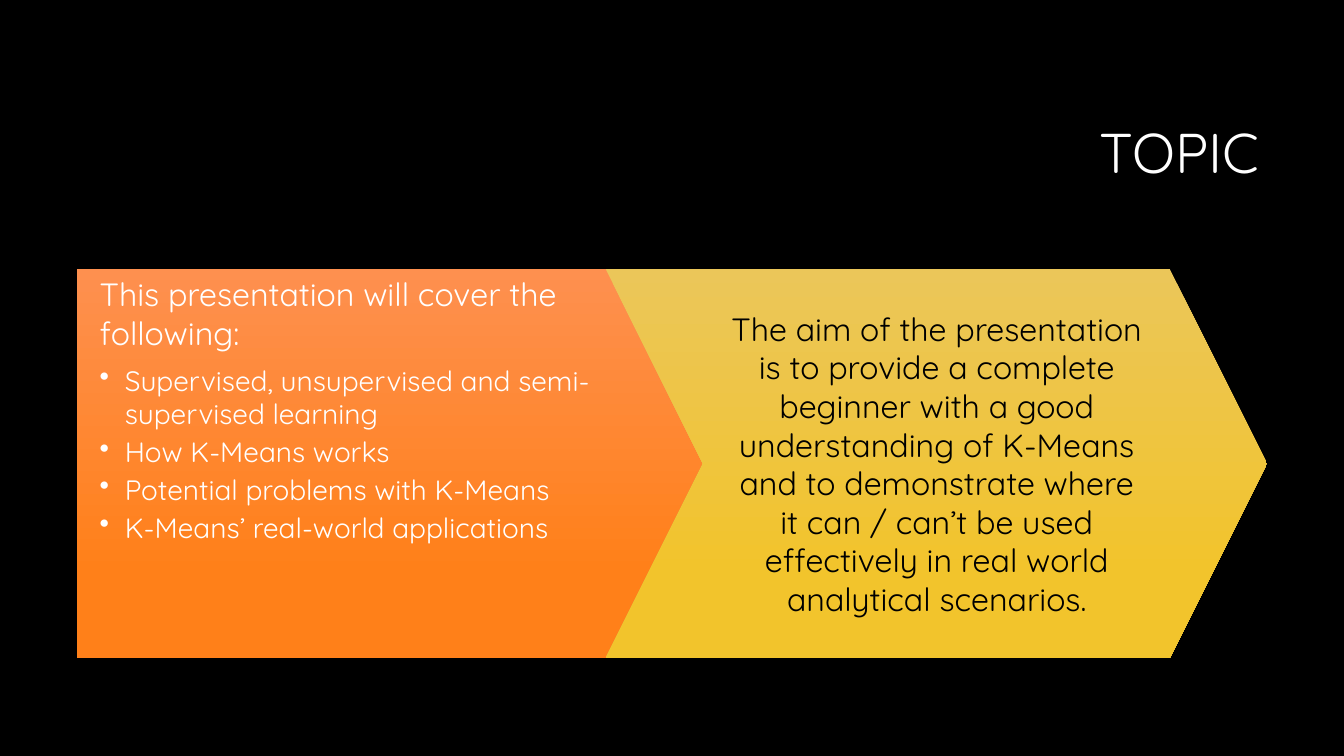
"""Build the topic slide: a title over two linked arrow panels."""
import pptx
import pptx.util
import pptx.dml.color
import pptx.enum.shapes
import pptx.enum.text
import lxml.etree

Pt = pptx.util.Pt
Kind = pptx.enum.shapes.MSO_SHAPE
Align = pptx.enum.text.PP_ALIGN
Anchor = pptx.enum.text.MSO_ANCHOR

THEME = {
    "font": "Quicksand",
    "back": "000000",
    "light": "FFFFFF",
    "dark": "000000",
    "orange": ("FE904F", "FF8019"),
    "yellow": ("EBC659", "F2C42C"),
    "title": 40,
    "lead": 23,
    "item": 20,
}
LEFT, TOP, WIDE, HIGH, STEP = 54.7, 192.2, 472.3, 277.9, 378

ITEMS = [
    "Supervised, unsupervised and semi-supervised learning",
    "How K-Means works",
    "Potential problems with K-Means",
    "K-Means’ real-world applications",
]
AIM = (
    "The aim of the presentation is to provide a complete beginner with a good "
    "understanding of K-Means and to demonstrate where it can / can’t be used "
    "effectively in real world analytical scenarios."
)


def color(name):
    """Return the RGB colour for a hex string."""
    return pptx.dml.color.RGBColor.from_string(name)


def assign(target, values):
    """Set each named attribute on the target."""
    for name, value in values.items():
        setattr(target, name, value)


def panel(slide, kind, left, shades):
    """Draw an arrow panel that shades from top to bottom."""
    shape = slide.shapes.add_shape(kind, Pt(left), Pt(TOP), Pt(WIDE), Pt(HIGH))
    shape.adjustments[0] = 0.25
    shape.shadow.inherit = False
    shape.line.fill.background()
    shape.fill.gradient()
    shape.fill.gradient_angle = 270
    for stop, place, shade in zip(shape.fill.gradient_stops, (0, 0.78), shades):
        stop.position = place
        stop.color.rgb = color(shade)


def textbox(slide, area, inset, anchor):
    """Add a wrapped text frame with left, top, right, bottom insets."""
    frame = slide.shapes.add_textbox(*map(Pt, area)).text_frame
    sides = ("left", "top", "right", "bottom")
    assign(frame, {f"margin_{side}": Pt(gap) for side, gap in zip(sides, inset)})
    assign(frame, {"word_wrap": True, "vertical_anchor": anchor})
    return frame


def write(para, text, size, shade, **form):
    """Fill a paragraph with text in one style."""
    para.text = text
    assign(para, form)
    assign(para.font, {"name": THEME["font"], "size": Pt(THEME[size])})
    para.font.color.rgb = color(THEME[shade])


def bullet(para):
    """Give a paragraph a hanging bullet."""
    props = para._p.get_or_add_pPr()
    props.set("marL", str(Pt(18)))
    props.set("indent", str(-Pt(18)))
    space = "{http://schemas.openxmlformats.org/drawingml/2006/main}"
    lxml.etree.SubElement(props, space + "buChar", char="•")


def main():
    """Build and save the slide."""
    deck = pptx.Presentation()
    assign(deck, {"slide_width": Pt(960), "slide_height": Pt(540)})
    slide = deck.slides.add_slide(deck.slide_layouts[6])
    slide.background.fill.solid()
    slide.background.fill.fore_color.rgb = color(THEME["back"])

    title = textbox(slide, (228.2, 60.5, 678.2, 101.5), (7.2, 3.6, 7.2, 3.6), Anchor.MIDDLE)
    write(title.paragraphs[0], "TOPIC", "title", "light",
          alignment=Align.RIGHT, line_spacing=0.9)

    panel(slide, Kind.PENTAGON, LEFT, THEME["orange"])
    cover = textbox(slide, (LEFT, TOP, 437.8, HIGH), (16.4, 4.1, 67, 4.1), Anchor.TOP)
    write(cover.paragraphs[0], "This presentation will cover the following:",
          "lead", "light", space_after=Pt(8))
    for item in ITEMS:
        para = cover.add_paragraph()
        bullet(para)
        write(para, item, "item", "light", space_after=Pt(3))

    panel(slide, Kind.CHEVRON, LEFT + STEP, THEME["yellow"])
    aim = textbox(slide, (502.6, TOP, 333.4, HIGH), (16.4, 4.1, 16.4, 4.1), Anchor.MIDDLE)
    write(aim.paragraphs[0], AIM, "lead", "dark", alignment=Align.CENTER)

    deck.save("out.pptx")


if __name__ == "__main__":
    main()
